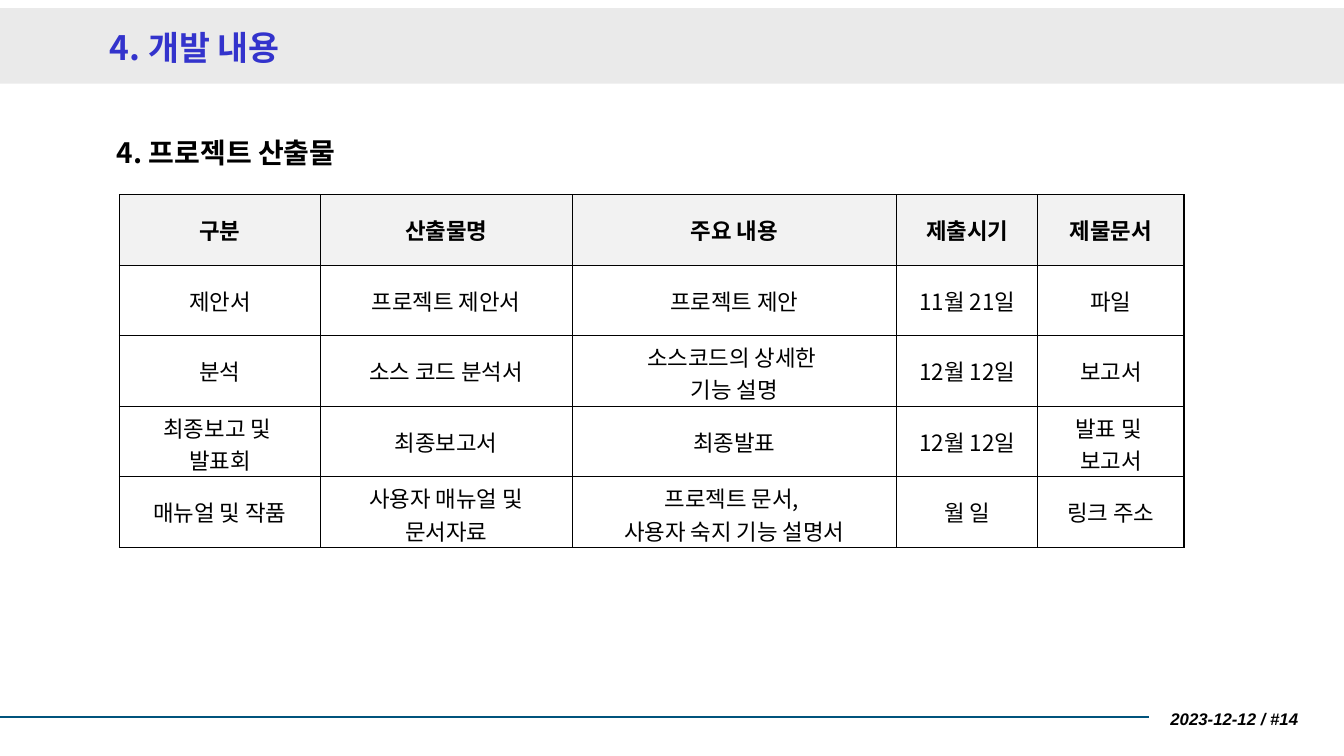
from lxml.etree import SubElement
from pptx import Presentation
from pptx.dml.color import RGBColor
from pptx.enum.shapes import MSO_CONNECTOR as Connector, MSO_SHAPE as Shape
from pptx.enum.text import MSO_ANCHOR as Anchor, PP_ALIGN as Align
from pptx.oxml.ns import qn
from pptx.util import Pt

KOREAN = "Noto Sans CJK KR"
BLACK = "000000"
COLUMN_WIDTHS = [143.28, 180, 231.84, 100.8, 104.4]
ROW_HEIGHT = 50.4
DELIVERABLES = [
    ["구분", "산출물명", "주요 내용", "제출시기", "제물문서"],
    ["제안서", "프로젝트 제안서", "프로젝트 제안", "11월 21일", "파일"],
    ["분석", "소스 코드 분석서", "소스코드의 상세한 \n기능 설명", "12월 12일", "보고서"],
    ["최종보고 및 \n발표회", "최종보고서", "최종발표", "12월 12일", "발표 및 \n보고서"],
    ["매뉴얼 및 작품", "사용자 매뉴얼 및\n문서자료",
     "프로젝트 문서, \n사용자 숙지 기능 설명서", "월 일", "링크 주소"],
]


def color(value):
    return RGBColor.from_string(value)


def write(frame, text, size, align=Align.LEFT, font=KOREAN, fill=BLACK,
          bold=True, italic=False):
    frame.text = text
    for paragraph in frame.paragraphs:
        paragraph.alignment = align
        for run in paragraph.runs:
            run.font.size = Pt(size)
            run.font.name = font
            run.font.bold = bold
            run.font.italic = italic
            run.font.color.rgb = color(fill)
            # East Asian typeface for the Hangul
            SubElement(run.font._element, qn("a:ea"), typeface=font)


def place(shape, left, top, width, height):
    shape.left, shape.top = Pt(left), Pt(top)
    shape.width, shape.height = Pt(width), Pt(height)


def add_header(slide, left, top, width, height):
    # Grey band behind the title
    band = slide.shapes.add_shape(Shape.RECTANGLE, Pt(left), Pt(top), Pt(width), Pt(height))
    band.shadow.inherit = False
    band.fill.solid()
    band.fill.fore_color.rgb = color("EAEAEA")
    band.line.fill.background()

    # Title, moved in front of the band
    title = slide.shapes.title
    place(title, left + 71.28, top + 6.5, 856.8, 42.5)
    title.text_frame.vertical_anchor = Anchor.MIDDLE
    write(title.text_frame, "4. 개발 내용", 24, fill="3333CC")
    band._element.addnext(title._element)


def add_section_heading(slide, left, top, width, height):
    heading = slide.shapes.add_textbox(Pt(left), Pt(top), Pt(width), Pt(height))
    frame = heading.text_frame
    frame.word_wrap = True
    frame.margin_left = Pt(12)
    write(frame, "4. 프로젝트 산출물", 20)
    frame.paragraphs[0].space_after = Pt(6)


def add_borders(cell):
    properties = cell._tc.get_or_add_tcPr()
    for index, side in enumerate(("lnL", "lnR", "lnT", "lnB")):
        line = properties.makeelement(qn(f"a:{side}"), {"w": str(Pt(1))})
        fill = SubElement(line, qn("a:solidFill"))
        SubElement(fill, qn("a:srgbClr"), val=BLACK)
        properties.insert(index, line)


def add_deliverables(slide, left, top):
    frame = slide.shapes.add_table(
        len(DELIVERABLES), len(COLUMN_WIDTHS), Pt(left), Pt(top),
        Pt(sum(COLUMN_WIDTHS)), Pt(ROW_HEIGHT * len(DELIVERABLES)))
    table = frame.table
    table.horz_banding = False
    for column, width in zip(table.columns, COLUMN_WIDTHS):
        column.width = Pt(width)
    for row_index, texts in enumerate(DELIVERABLES):
        table.rows[row_index].height = Pt(ROW_HEIGHT)
        is_header = row_index == 0
        for column_index, text in enumerate(texts):
            cell = table.cell(row_index, column_index)
            cell.vertical_anchor = Anchor.MIDDLE
            cell.fill.solid()
            cell.fill.fore_color.rgb = color("F2F2F2" if is_header else "FFFFFF")
            write(cell.text_frame, text, 16, Align.CENTER, bold=is_header)
            add_borders(cell)


def add_footer(slide, left, top, width, height):
    # Rule across the bottom
    rule_y = Pt(top + 13.7)
    rule = slide.shapes.add_connector(Connector.STRAIGHT, Pt(left), rule_y,
                                      Pt(left + 820.8), rule_y)
    rule.line.color.rgb = color("00537C")
    rule.line.width = Pt(1.5)
    SubElement(rule._element.spPr, qn("a:effectLst"))

    # Date and page number
    label_left = left + 814.3
    label = slide.shapes.add_textbox(Pt(label_left), Pt(top), Pt(left + width - label_left),
                                     Pt(height))
    label.text_frame.word_wrap = True
    label.text_frame.vertical_anchor = Anchor.MIDDLE
    write(label.text_frame, "2023-12-12 / #14", 12, Align.RIGHT, "Arial", italic=True)


def main():
    presentation = Presentation()
    presentation.slide_width, presentation.slide_height = Pt(960), Pt(540)
    title_only = presentation.slide_layouts[5]
    slide = presentation.slides.add_slide(title_only)
    add_header(slide, 0, 5.76, 960, 54)
    add_section_heading(slide, 71.28, 92.9, 730.8, 29.5)
    add_deliverables(slide, 85.4, 139)
    add_footer(slide, 0, 498.2, 934.5, 30.2)
    presentation.save("out.pptx")


if __name__ == "__main__":
    main()
